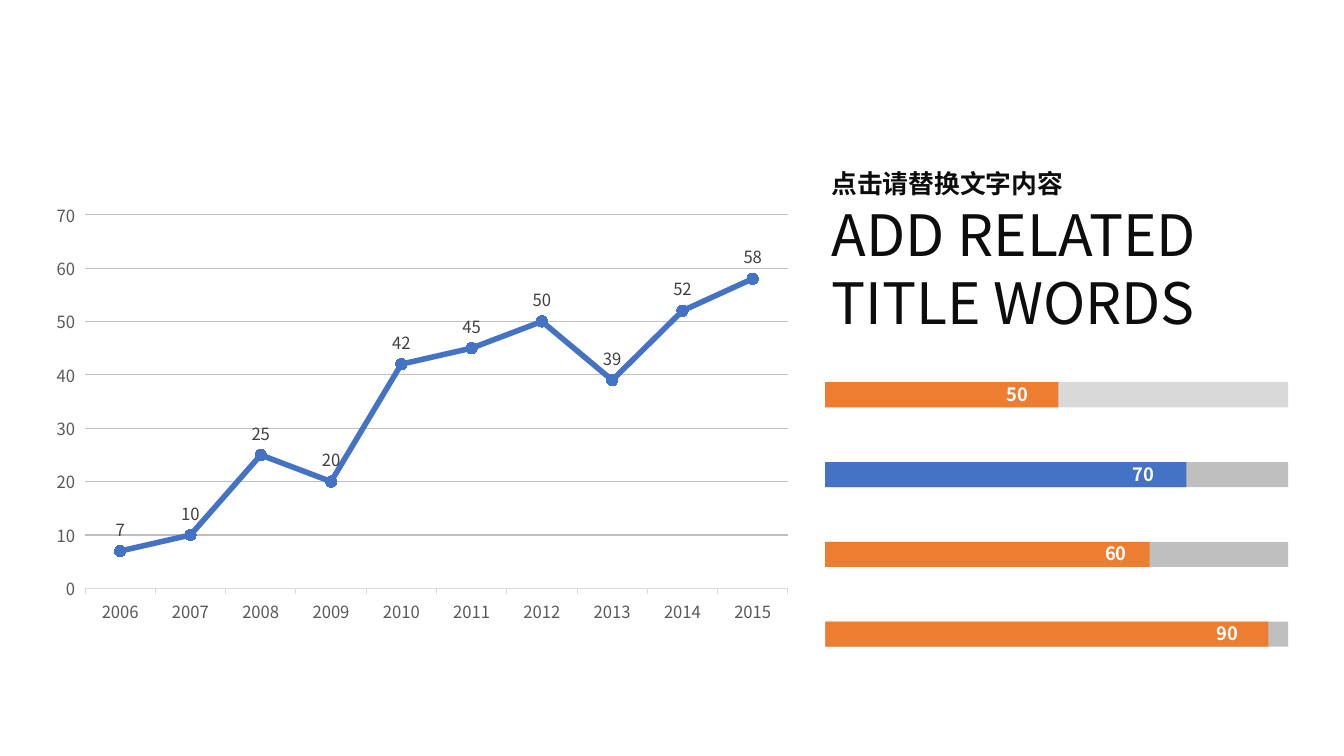
from dataclasses import dataclass

from lxml.etree import SubElement
from pptx import Presentation
from pptx.chart.data import CategoryChartData
from pptx.dml.color import RGBColor
from pptx.enum.chart import XL_CHART_TYPE, XL_LABEL_POSITION, XL_MARKER_STYLE, XL_TICK_MARK
from pptx.enum.shapes import MSO_SHAPE
from pptx.enum.text import MSO_ANCHOR, MSO_AUTO_SIZE, PP_ALIGN
from pptx.oxml.ns import qn
from pptx.util import Pt

PX = 9525
TITLE_ONLY = 5


@dataclass(frozen=True)
class Theme:
    font: str = "Noto Sans CJK SC"
    blue: str = "4472C4"
    orange: str = "ED7D31"
    light_track: str = "D9D9D9"
    track: str = "BFBFBF"
    ink: str = "0D0D0D"
    axis_text: str = "595959"
    label_text: str = "404040"
    white: str = "FFFFFF"
    subtitle_size: float = 18.4
    title_size: float = 40.7
    chart_size: float = 12
    percent_size: float = 13.1


THEME = Theme()
YEARS = [str(year) for year in range(2006, 2016)]
YEARLY_VALUES = [7, 10, 25, 20, 42, 45, 50, 39, 52, 58]
# percent, filled width, label offset, fill colour, track colour
PROGRESS = [
    (50, 222, 163, THEME.orange, THEME.light_track),
    (70, 344, 283, THEME.blue, THEME.track),
    (60, 309, 257, THEME.orange, THEME.track),
    (90, 422, 363, THEME.orange, THEME.track),
]


def px(*lengths):
    return [length * PX for length in lengths]


def set_all(target, values):
    for name, value in values.items():
        setattr(target, name, value)


def style_font(font, size, color, bold=False):
    set_all(font, {"name": THEME.font, "size": Pt(size), "bold": bold})
    font.color.rgb = RGBColor.from_string(color)


def style_line(line, color, width):
    line.color.rgb = RGBColor.from_string(color)
    line.width = Pt(width)


def place_plot(chart, **fractions):
    """Fix the inner plot area as fractions of the chart."""
    plot_area = chart.element.find(".//" + qn("c:plotArea"))
    layout = plot_area.find(qn("c:layout"))
    if layout is None:
        layout = SubElement(plot_area, qn("c:layout"))
        plot_area.insert(0, layout)
    manual = SubElement(layout, qn("c:manualLayout"))
    settings = {"layoutTarget": "inner", "xMode": "edge", "yMode": "edge", **fractions}
    for tag, value in settings.items():
        SubElement(manual, qn(f"c:{tag}")).set("val", str(value))


def add_trend_chart(slide, left, top, width, height):
    data = CategoryChartData()
    data.categories = YEARS
    data.add_series("Series 1", YEARLY_VALUES)
    frame = slide.shapes.add_chart(
        XL_CHART_TYPE.LINE_MARKERS, *px(left, top, width, height), data)
    chart = frame.chart
    set_all(chart, {"has_legend": False, "has_title": False})
    style_font(chart.font, THEME.chart_size, THEME.axis_text)
    place_plot(chart, x=0.03, y=0.036, w=0.955, h=0.694)

    for axis in (chart.category_axis, chart.value_axis):
        axis.major_tick_mark = XL_TICK_MARK.OUTSIDE
        style_font(axis.tick_labels.font, THEME.chart_size, THEME.axis_text)
    style_line(chart.category_axis.format.line, THEME.light_track, 0.75)
    scale = chart.value_axis
    set_all(scale, {"minimum_scale": 0, "maximum_scale": 70, "major_unit": 10})
    scale.format.line.fill.background()
    style_line(scale.major_gridlines.format.line, THEME.track, 0.75)

    plot = chart.plots[0]
    plot.vary_by_categories = False
    trend = plot.series[0]
    trend.smooth = False
    style_line(trend.format.line, THEME.blue, 4)
    set_all(trend.marker, {"style": XL_MARKER_STYLE.CIRCLE, "size": 8})
    trend.marker.format.fill.solid()
    trend.marker.format.fill.fore_color.rgb = RGBColor.from_string(THEME.blue)
    style_line(trend.marker.format.line, THEME.blue, 0.75)
    set_all(trend.data_labels, {"show_value": True, "position": XL_LABEL_POSITION.ABOVE})
    style_font(trend.data_labels.font, THEME.chart_size, THEME.label_text)


def fill_title(slide, left, top, width, height):
    title = slide.shapes.title
    set_all(title, dict(zip(("left", "top", "width", "height"), px(left, top, width, height))))
    frame = title.text_frame
    set_all(frame, {
        "margin_left": 0, "margin_top": 0, "margin_right": 0, "margin_bottom": 0,
        "word_wrap": True, "auto_size": MSO_AUTO_SIZE.NONE,
        "vertical_anchor": MSO_ANCHOR.TOP,
    })
    frame.text = "点击请替换文字内容\nADD RELATED TITLE WORDS"
    styles = [(THEME.subtitle_size, True), (THEME.title_size, False)]
    for paragraph, (size, bold) in zip(frame.paragraphs, styles):
        set_all(paragraph, {"alignment": PP_ALIGN.LEFT, "line_spacing": Pt(round(size * 1.2))})
        for run in paragraph.runs:
            style_font(run.font, size, THEME.ink, bold)
            SubElement(run.font._element, qn("a:ea")).set("typeface", THEME.font)


def add_bar(group, left, top, width, height, color):
    bar = group.shapes.add_shape(MSO_SHAPE.RECTANGLE, *px(left, top, width, height))
    bar.shadow.inherit = False
    bar.fill.solid()
    bar.fill.fore_color.rgb = RGBColor.from_string(color)
    bar.line.fill.background()


def add_percent(group, left, top, width, height, percent):
    frame = group.shapes.add_textbox(*px(left, top, width, height)).text_frame
    frame.word_wrap = False
    paragraph = frame.paragraphs[0]
    paragraph.text = f"{percent}%"
    style_font(paragraph.runs[0].font, THEME.percent_size, THEME.white, True)


def add_progress_bars(slide, left, top, width, height):
    bar_height = 24
    pitch = (height - bar_height) // (len(PROGRESS) - 1)
    group = slide.shapes.add_group_shape()
    for row, (percent, filled, label_offset, fill, track) in enumerate(PROGRESS):
        bar_top = top + row * pitch
        add_bar(group, left, bar_top, width, bar_height, track)
        add_bar(group, left, bar_top, filled, bar_height, fill)
        add_percent(group, left + label_offset, bar_top - 4, 49, 31, percent)


def main():
    deck = Presentation()
    deck.slide_width, deck.slide_height = px(1280, 720)
    slide = deck.slides.add_slide(deck.slide_layouts[TITLE_ONLY])
    add_trend_chart(slide, 54, 186, 707, 513)
    add_progress_bars(slide, 786, 364, 441, 252)
    fill_title(slide, 792, 160, 410, 161)
    deck.save("out.pptx")


if __name__ == "__main__":
    main()
